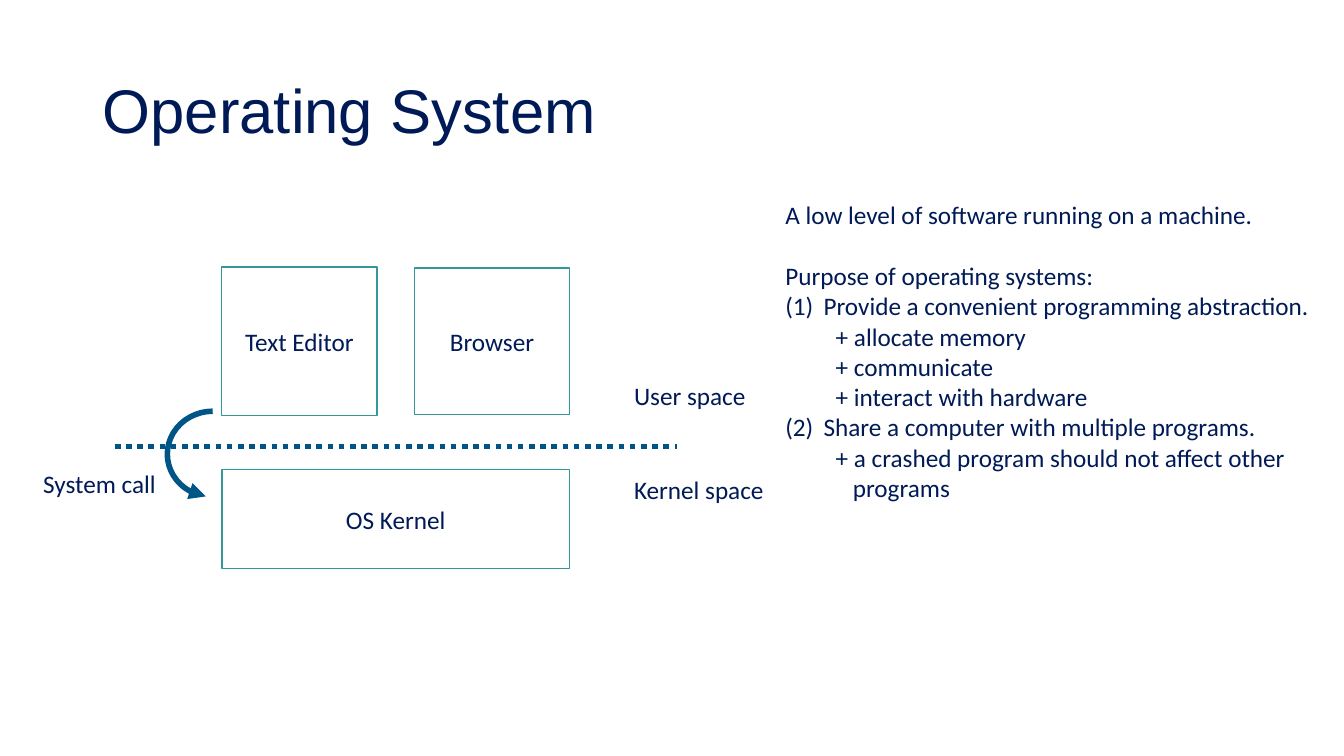
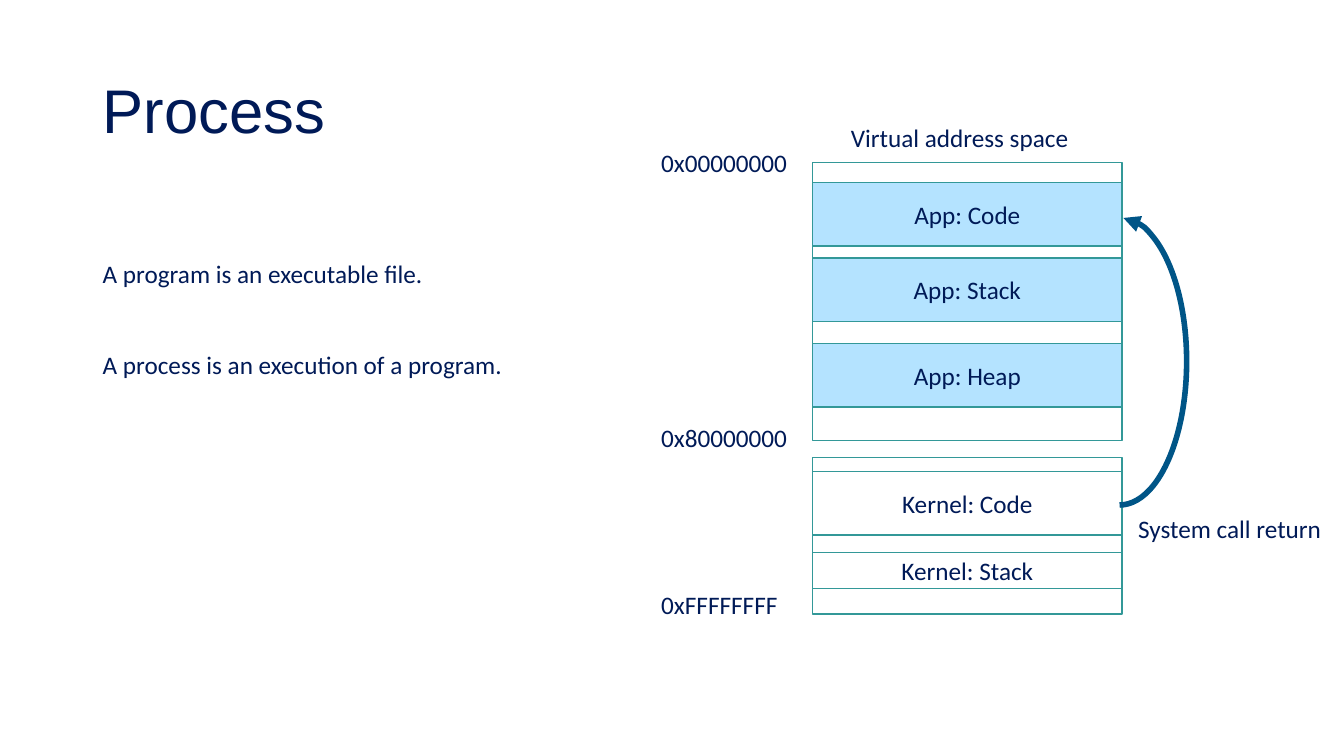
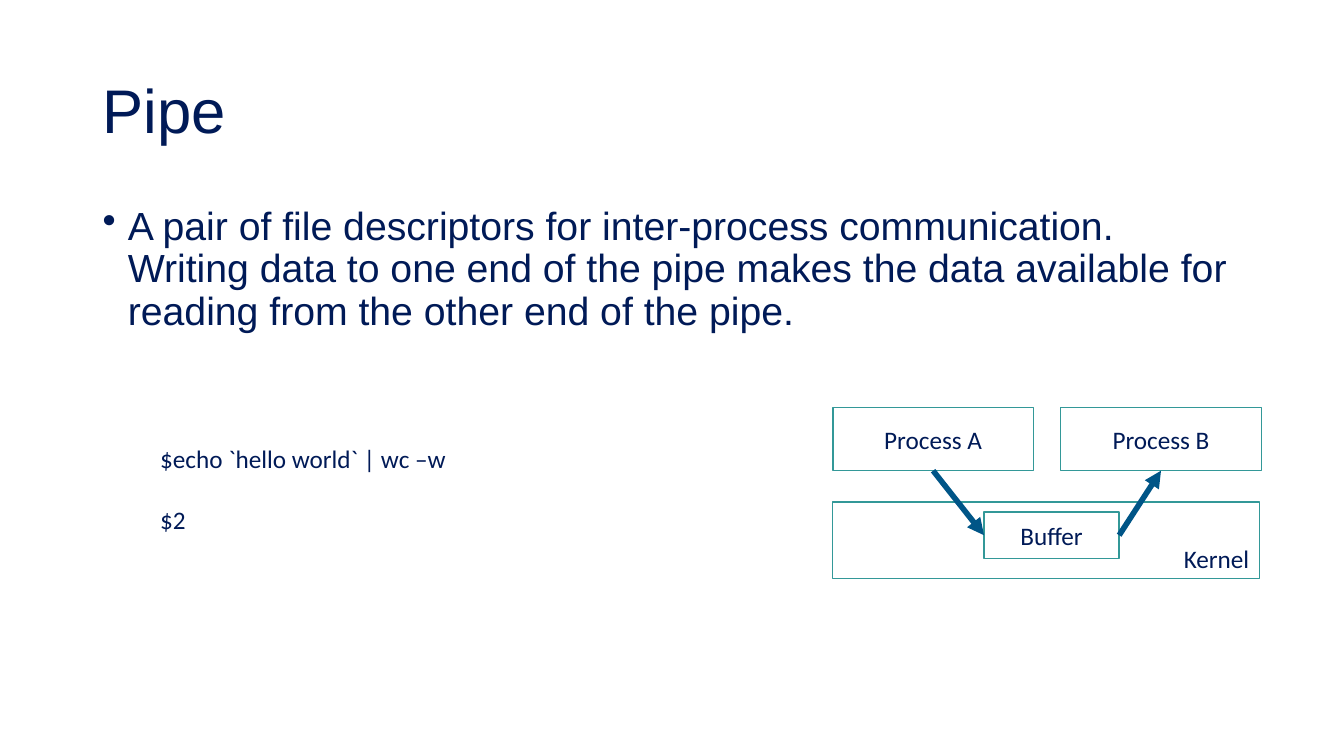
"""Build three slides on operating systems, processes and pipes."""
import dataclasses

import lxml.etree
import pptx
import pptx.dml.color
import pptx.enum.dml
import pptx.enum.shapes
import pptx.enum.text
import pptx.oxml.ns
import pptx.util

Inches = pptx.util.Inches
Pt = pptx.util.Pt
Align = pptx.enum.text.PP_ALIGN
Anchor = pptx.enum.text.MSO_ANCHOR
Fit = pptx.enum.text.MSO_AUTO_SIZE
Shape = pptx.enum.shapes.MSO_SHAPE
qn = pptx.oxml.ns.qn


@dataclasses.dataclass(frozen=True)
class Theme:
    """Hold the colours, fonts and sizes of the deck."""
    ink: str = "001A57"
    edge: str = "339898"
    flow: str = "005587"
    app: str = "B4E3FF"
    white: str = "FFFFFF"
    head: str = "Arial"
    body: str = "Calibri"
    big: int = 44
    mid: int = 28
    small: int = 18
    thin: int = 1
    thick: int = 4
    row: int = 22


THEME = Theme()


def color(code):
    """Return the colour for a hex code."""
    return pptx.dml.color.RGBColor.from_string(code)


def apply(target, values):
    """Set each named value on the target."""
    for name, value in values.items():
        setattr(target, name, value)


def place(box):
    """Turn a box in inches into lengths."""
    return [Inches(side) for side in box]


def stroke(line, code, width):
    """Give a line its colour and width."""
    line.color.rgb = color(code)
    line.width = Pt(width)


def tip(shape):
    """Put a triangle at the end of a line."""
    line = shape.element.spPr.find(qn("a:ln"))
    lxml.etree.SubElement(line, qn("a:tailEnd"), type="triangle")


def indent(par, left, first, mark=None):
    """Set the indents and the bullet of a paragraph."""
    props = par._p.get_or_add_pPr()
    props.set("marL", str(Inches(left)))
    props.set("indent", str(Inches(first)))
    if mark == "(1)":
        lxml.etree.SubElement(props, qn("a:buAutoNum"), type="arabicParenBoth")
    elif mark:
        lxml.etree.SubElement(props, qn("a:buChar"), char=mark)


def write(frame, lines, face=THEME.body, size=THEME.small, **form):
    """Write lines, each a string or a (string, format, indents) tuple."""
    for index, line in enumerate(lines):
        text, extra, inset = (line, {}, None) if isinstance(line, str) else line
        par = frame.paragraphs[0] if index == 0 else frame.add_paragraph()
        apply(par, {"alignment": Align.LEFT, **form, **extra})
        if inset:
            indent(par, *inset)
        run = par.add_run()
        run.text = text
        apply(run.font, {"name": face, "size": Pt(size)})
        run.font.color.rgb = color(THEME.ink)


def start(deck, title):
    """Add a slide with its title."""
    slide = deck.slides.add_slide(deck.slide_layouts[5])
    head = slide.shapes.title
    sides = place((0.92, 0.4, 11.5, 1.45))
    apply(head, dict(zip(("left", "top", "width", "height"), sides)))
    apply(head.text_frame, {"vertical_anchor": Anchor.MIDDLE,
                            "auto_size": Fit.NONE, "word_wrap": True})
    write(head.text_frame, [title], THEME.head, THEME.big, line_spacing=0.9)
    return slide


def label(slide, box, lines, wrap=False, fit=Fit.SHAPE_TO_FIT_TEXT, **form):
    """Add a text box."""
    frame = slide.shapes.add_textbox(*place(box)).text_frame
    apply(frame, {"word_wrap": wrap, "auto_size": fit})
    write(frame, lines, **form)


def block(slide, box, text="", fill=THEME.white, anchor=Anchor.MIDDLE,
          align=Align.CENTER):
    """Add an outlined rectangle with an optional text."""
    rect = slide.shapes.add_shape(Shape.RECTANGLE, *place(box))
    rect.shadow.inherit = False
    stroke(rect.line, THEME.edge, THEME.thin)
    if fill:
        rect.fill.solid()
        rect.fill.fore_color.rgb = color(fill)
    else:
        rect.fill.background()
    if text:
        rect.text_frame.vertical_anchor = anchor
        write(rect.text_frame, [text], alignment=align)
    return rect


def curve(slide, box, end, turn=0):
    """Add a mirrored arc with an arrowhead."""
    arc = slide.shapes.add_shape(Shape.ARC, *place(box))
    arc.adjustments[0] = 162
    arc.adjustments[1] = end
    arc.rotation = turn
    arc.element.spPr.find(qn("a:xfrm")).set("flipH", "1")
    arc.fill.background()
    arc.shadow.inherit = False
    stroke(arc.line, THEME.flow, THEME.thick)
    tip(arc)


def link(slide, ends):
    """Add a thick straight line between two points."""
    kind = pptx.enum.shapes.MSO_CONNECTOR.STRAIGHT
    line = slide.shapes.add_connector(kind, *place(ends))
    stroke(line.line, THEME.flow, THEME.thick)
    lxml.etree.SubElement(line.element.spPr, qn("a:effectLst"))
    return line


def arrow(slide, ends, source, exit, target, entry):
    """Join two rectangles with an arrow."""
    line = link(slide, ends)
    line.begin_connect(source, exit)
    line.end_connect(target, entry)
    tip(line)


def system(deck):
    """Build the operating system slide."""
    slide = start(deck, "Operating System")
    block(slide, (2.2, 2.65, 1.54, 1.47), "Text Editor")
    block(slide, (4.11, 2.66, 1.54, 1.45), "Browser")
    block(slide, (2.2, 4.66, 3.45, 0.98), "OS Kernel")
    border = link(slide, (1.14, 4.43, 6.71, 4.43))
    border.line.dash_style = pptx.enum.dml.MSO_LINE.ROUND_DOT
    label(slide, (6.19, 3.72, 1.32, 0.4), ["User space"])
    label(slide, (6.19, 4.66, 1.5, 0.4), ["Kernel space"])
    goal = (0.38, -0.38, "(1)")
    means = [(text, {"level": 1}, (0.5, 0)) for text in
             ("+ allocate memory", "+ communicate", "+ interact with hardware")]
    label(slide, (7.69, 1.93, 5.41, 3.13), [
        "A low level of software running on a machine.",
        ("Purpose of operating systems:", {"space_before": Pt(THEME.row)}, None),
        ("Provide a convenient programming abstraction.", {}, goal),
        *means,
        ("Share a computer with multiple programs.", {}, goal),
        ("+ a crashed program should not affect other programs", {},
         (0.67, -0.17)),
    ], wrap=True)
    curve(slide, (1.66, 4.08, 0.9, 0.85), 48.41)
    label(slide, (0.33, 4.6, 1.33, 0.4), ["System call"])


def process(deck):
    """Build the process slide."""
    slide = start(deck, "Process")
    left, width = 8.06, 3.07
    label(slide, (8.34, 1.16, 2.38, 0.4), ["Virtual address space"])
    for top, height in ((1.61, 2.76), (4.54, 1.55)):
        block(slide, (left, top, width, height), fill=None)
    for top, wide, text in ((1.41, 1.46, "0x00000000"),
                            (4.14, 1.46, "0x80000000"),
                            (5.8, 1.36, "0xFFFFFFFF")):
        label(slide, (6.46, top, wide, 0.4), [text])
    for top, height, text, fill in (
            (1.81, 0.63, "App: Code", THEME.app),
            (2.56, 0.63, "App: Stack", THEME.app),
            (3.41, 0.63, "App: Heap", THEME.app),
            (4.68, 0.63, "Kernel: Code", THEME.white),
            (5.48, 0.36, "Kernel: Stack", THEME.white)):
        block(slide, (left, top, width, height), text, fill)
    curve(slide, (10.44, 2.16, 1.33, 2.85), 53.09, 180)
    label(slide, (11.19, 5.04, 2.04, 0.4), ["System call return"])
    label(slide, (0.92, 2.51, 4.21, 1.31), [
        "A program is an executable file.",
        ("A process is an execution of a program.",
         {"space_before": Pt(2 * THEME.row)}, None),
    ])


def pipe(deck):
    """Build the pipe slide."""
    slide = start(deck, "Pipe")
    text = ("A pair of file descriptors for inter-process communication. "
            "Writing data to one end of the pipe makes the data available for "
            "reading from the other end of the pipe.")
    label(slide, (0.92, 2, 11.5, 4.76), [(text, {}, (0.25, -0.25, "•"))],
          wrap=True, fit=Fit.NONE, face=THEME.head, size=THEME.mid,
          line_spacing=0.9, space_before=Pt(10))
    first, second = [block(slide, (left, 4.04, 1.99, 0.63), name)
                     for left, name in ((8.26, "Process A"), (10.52, "Process B"))]
    block(slide, (8.26, 4.98, 4.23, 0.76), "Kernel",
          anchor=Anchor.BOTTOM, align=Align.RIGHT)
    buffer = block(slide, (9.76, 5.08, 1.34, 0.46), "Buffer")
    arrow(slide, (9.26, 4.67, 9.76, 5.31), first, 2, buffer, 1)
    arrow(slide, (11.1, 5.31, 11.51, 4.67), buffer, 3, second, 2)
    label(slide, (1.49, 4.35, 3.07, 1.01), [
        "$echo `hello world` | wc –w",
        ("$2", {"space_before": Pt(THEME.row)}, None),
    ])


def main():
    """Build and save the deck."""
    deck = pptx.Presentation()
    apply(deck, {"slide_width": Inches(13.33), "slide_height": Inches(7.5)})
    for build in (system, process, pipe):
        build(deck)
    deck.save("out.pptx")


if __name__ == "__main__":
    main()
